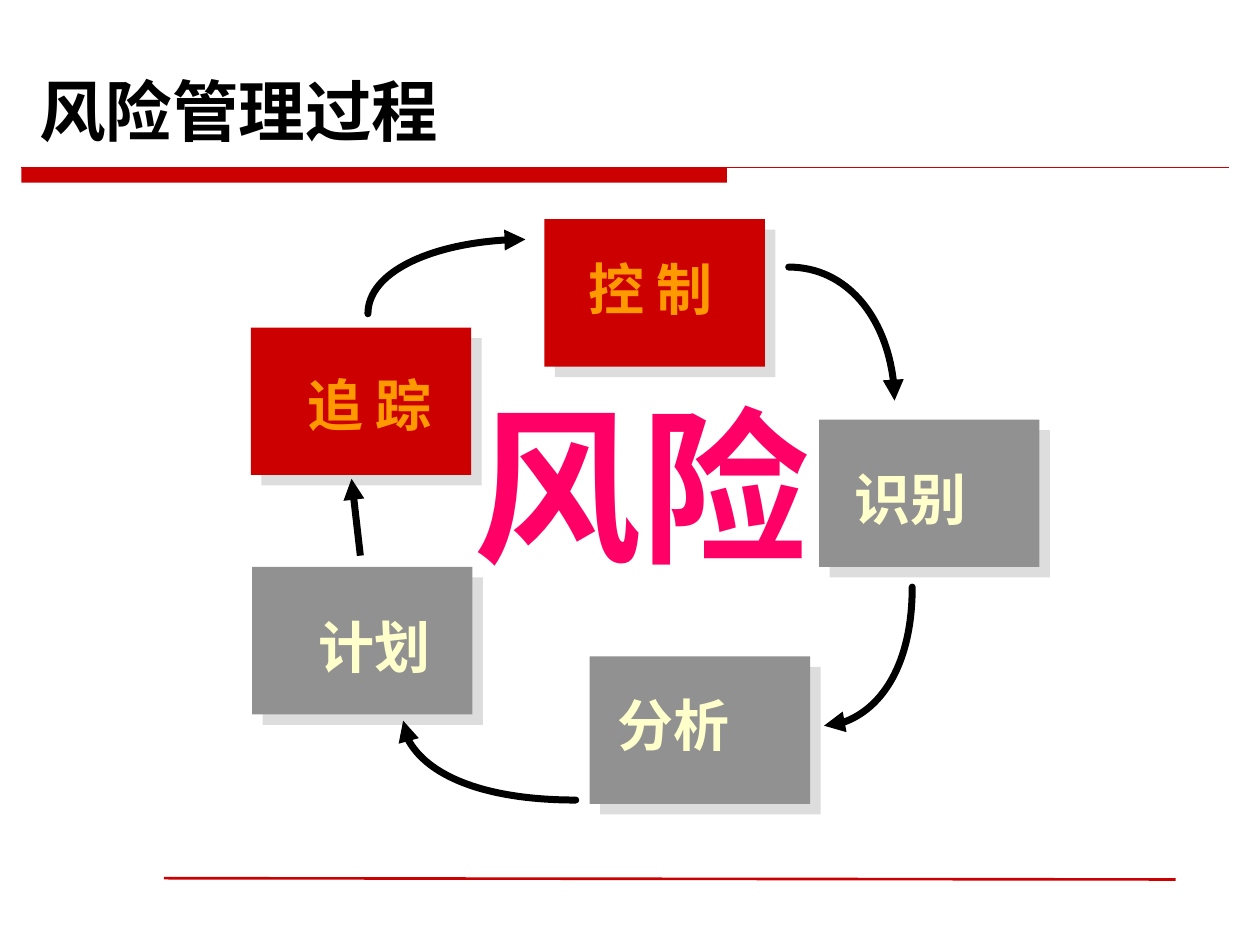
from dataclasses import dataclass

from lxml.etree import SubElement
from pptx import Presentation
from pptx.dml.color import RGBColor
from pptx.enum.shapes import MSO_CONNECTOR, MSO_SHAPE
from pptx.enum.text import MSO_ANCHOR, MSO_AUTO_SIZE, PP_ALIGN
from pptx.oxml.ns import qn
from pptx.util import Inches, Pt

RED = RGBColor(0xCC, 0x00, 0x00)
GRAY = RGBColor(0x91, 0x91, 0x91)
PINK = RGBColor(0xFF, 0x00, 0x66)
ORANGE = RGBColor(0xFF, 0x99, 0x00)
CREAM = RGBColor(0xFF, 0xFF, 0xCC)
BLACK = RGBColor(0x00, 0x00, 0x00)
SHADOW = RGBColor(0xDD, 0xDD, 0xDD)
CJK_FONT = "Noto Sans CJK SC"
BOX_WIDTH, BOX_HEIGHT = 1.75, 1.17
CURVE = 0.55

Point = tuple[float, float]


@dataclass
class Stage:
    text: str
    box: Point
    label: Point
    label_width: float
    fill: RGBColor
    color: RGBColor


@dataclass
class CurvedArrow:
    start: Point
    end: Point
    leaves_horizontally: bool


STAGES = [
    Stage("识别", (6.5, 3.33), (6.68, 3.7), 1.09, GRAY, CREAM),
    Stage("控 制", (4.32, 1.74), (4.57, 2.03), 1.19, RED, ORANGE),
    Stage("追 踪", (1.99, 2.6), (2.34, 2.95), 1.19, RED, ORANGE),
    Stage("计划", (2, 4.5), (2.43, 4.87), 1.09, GRAY, CREAM),
    Stage("分析", (4.68, 5.21), (4.8, 5.49), 1.09, GRAY, CREAM),
]

CURVED_ARROWS = [
    CurvedArrow((6.26, 2.12), (7.1, 3.18), True),
    CurvedArrow((7.24, 4.66), (6.54, 5.76), False),
    CurvedArrow((4.57, 6.35), (3.2, 5.72), True),
    CurvedArrow((2.92, 2.49), (4.17, 1.9), False),
]


def add_run(paragraph, text: str, size: float, color: RGBColor, font_name: str) -> None:
    run = paragraph.add_run()
    run.text = text
    run.font.size = Pt(size)
    run.font.bold = True
    run.font.color.rgb = color
    run.font.name = font_name
    SubElement(run.font._element, qn("a:ea")).set("typeface", CJK_FONT)


def add_label(slide, text: str, position: Point, width: float, height: float,
              size: float, color: RGBColor) -> None:
    left, top = position
    shape = slide.shapes.add_textbox(Inches(left), Inches(top), Inches(width), Inches(height))
    shape.text_frame.word_wrap = False
    shape.text_frame.auto_size = MSO_AUTO_SIZE.SHAPE_TO_FIT_TEXT
    paragraph = shape.text_frame.paragraphs[0]
    paragraph.line_spacing = 0.9
    add_run(paragraph, text, size, color, "Arial")


def add_rectangle(slide, left: float, top: float, width: float, height: float, color: RGBColor):
    shape = slide.shapes.add_shape(
        MSO_SHAPE.RECTANGLE, Inches(left), Inches(top), Inches(width), Inches(height))
    shape.shadow.inherit = False
    shape.fill.solid()
    shape.fill.fore_color.rgb = color
    shape.line.fill.background()
    return shape


def add_stage_box(slide, stage: Stage) -> None:
    shape = add_rectangle(slide, *stage.box, BOX_WIDTH, BOX_HEIGHT, stage.fill)
    effects = shape._element.spPr.find(qn("a:effectLst"))
    shadow = SubElement(effects, qn("a:outerShdw"), dist=str(Pt(8.5)), dir=str(45 * 60000),
                        algn="ctr", rotWithShape="0")
    SubElement(shadow, qn("a:srgbClr"), val=str(SHADOW))


def add_line(slide, start: Point, end: Point, color: RGBColor, width: float):
    connector = slide.shapes.add_connector(
        MSO_CONNECTOR.STRAIGHT, *(Inches(value) for value in start + end))
    connector.line.color.rgb = color
    connector.line.width = Pt(width)
    SubElement(connector._element.spPr, qn("a:effectLst"))
    return connector


def add_arrowhead(shape) -> None:
    SubElement(shape.line._get_or_add_ln(), qn("a:tailEnd"), type="triangle")


def add_curved_arrow(slide, arrow: CurvedArrow) -> None:
    (start_x, start_y), (end_x, end_y) = arrow.start, arrow.end
    width, height = end_x - start_x, end_y - start_y
    if arrow.leaves_horizontally:
        controls = [(start_x + CURVE * width, start_y), (end_x, end_y - CURVE * height)]
    else:
        controls = [(start_x, start_y + CURVE * height), (end_x - CURVE * width, end_y)]

    builder = slide.shapes.build_freeform(Inches(start_x), Inches(start_y))
    builder.add_line_segments([(Inches(end_x), Inches(end_y))], close=False)
    shape = builder.convert_to_shape()
    segment = next(shape._element.iter(qn("a:lnTo")))
    segment.tag = qn("a:cubicBezTo")
    left, top = min(start_x, end_x), min(start_y, end_y)
    for index, (x, y) in enumerate(controls):
        point = SubElement(segment, qn("a:pt"), x=str(Inches(x - left)), y=str(Inches(y - top)))
        segment.insert(index, point)

    shape.shadow.inherit = False
    shape.fill.background()
    shape.line.color.rgb = BLACK
    shape.line.width = Pt(4)
    shape.line._get_or_add_ln().set("cap", "rnd")
    add_arrowhead(shape)


def format_title(slide) -> None:
    title = slide.shapes.title
    title.left, title.top = Inches(0.21), Inches(0.64)
    title.width, title.height = Inches(7.08), Inches(0.6)
    title.text_frame.vertical_anchor = MSO_ANCHOR.BOTTOM
    title.text_frame.word_wrap = True
    paragraph = title.text_frame.paragraphs[0]
    paragraph.alignment = PP_ALIGN.LEFT
    add_run(paragraph, "风险管理过程", 38, BLACK, CJK_FONT)


def main() -> None:
    presentation = Presentation()
    presentation.slide_width = Inches(10)
    presentation.slide_height = Inches(7.5)
    slide = presentation.slides.add_slide(presentation.slide_layouts[5])
    format_title(slide)

    add_rectangle(slide, 0.17, 1.33, 5.6, 0.12, RED)
    add_line(slide, (0.17, 1.33), (9.75, 1.33), RED, 1)
    add_line(slide, (1.3, 6.97), (9.33, 6.98), RED, 1.5)
    add_label(slide, "风险", (3.66, 3.17), 2.9, 1.54, 96, PINK)

    for stage in STAGES:
        add_stage_box(slide, stage)
    for arrow in CURVED_ARROWS:
        add_curved_arrow(slide, arrow)
    add_arrowhead(add_line(slide, (2.86, 4.41), (2.79, 3.8), BLACK, 4))
    for stage in STAGES:
        add_label(slide, stage.text, stage.label, stage.label_width, 0.58, 32, stage.color)

    presentation.save("out.pptx")


if __name__ == "__main__":
    main()
